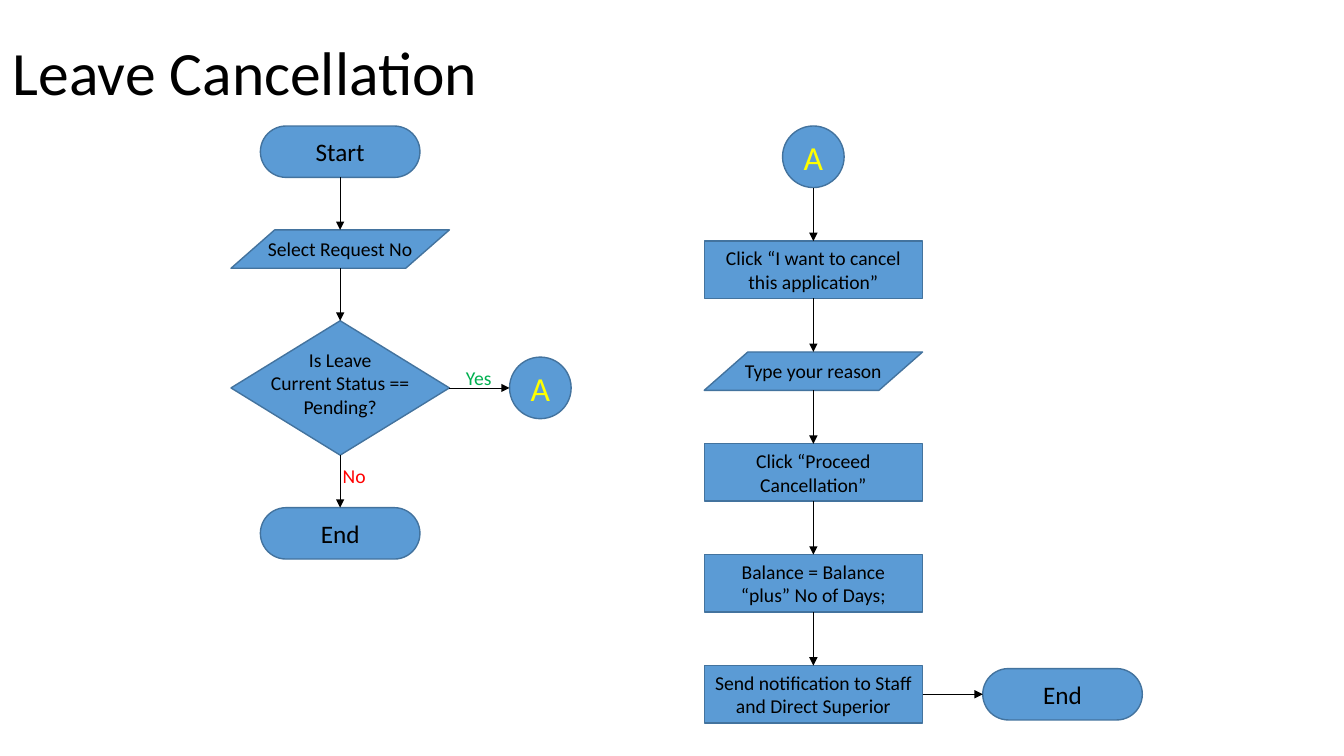
from lxml.etree import SubElement
from pptx import Presentation
from pptx.dml.color import RGBColor
from pptx.enum.shapes import MSO_CONNECTOR, MSO_SHAPE
from pptx.enum.text import MSO_ANCHOR, PP_ALIGN
from pptx.oxml.ns import qn
from pptx.util import Pt

COLORS = {"fill": "5B9BD5", "border": "43739E", "ink": "000000",
          "link": "FFFF00", "yes": "00B050", "no": "FF0000"}
FONT = "Calibri"

KINDS = {
    "terminal": (MSO_SHAPE.FLOWCHART_TERMINATOR, 114, 36.7, 18, "ink"),
    "input": (MSO_SHAPE.FLOWCHART_DATA, 156, 27.4, 14, "ink"),
    "decision": (MSO_SHAPE.FLOWCHART_DECISION, 156, 96, 14, "ink"),
    "process": (MSO_SHAPE.FLOWCHART_PROCESS, 156, 41, 14, "ink"),
    "link": (MSO_SHAPE.FLOWCHART_CONNECTOR, 44, 44, 24, "link"),
}
UNWRAPPED = ("input", "decision", "link")

REQUEST_FLOW = [
    ("terminal", ["Start"]),
    ("input", ["Select Request No"]),
    ("decision", ["Is Leave", "Current Status ==\vPending?"]),
    ("terminal", ["End"]),
]
CANCEL_FLOW = [
    ("link", ["A"]),
    ("process", ["Click “I want to cancel this application”"]),
    ("input", ["Type your reason"]),
    ("process", ["Click “Proceed Cancellation”"]),
    ("process", ["Balance = Balance “plus” No of Days;"]),
    ("process", ["Send notification to Staff and Direct Superior"]),
]
FLOW_TOP = 90
SIDE_GAP = 43

presentation = Presentation()
presentation.slide_width, presentation.slide_height = Pt(960), Pt(540)
slide = presentation.slides.add_slide(presentation.slide_layouts[5])


def color(name):
    return RGBColor.from_string(COLORS[name])


def write(frame, lines, size, ink, align=PP_ALIGN.CENTER):
    frame.vertical_anchor = MSO_ANCHOR.MIDDLE
    for i, line in enumerate(lines):
        paragraph = frame.paragraphs[0] if i == 0 else frame.add_paragraph()
        paragraph.alignment = align
        for j, part in enumerate(line.split("\v")):
            if j:
                paragraph.add_line_break()
            run = paragraph.add_run()
            run.text = part
            run.font.name, run.font.size = FONT, Pt(size)
            run.font.color.rgb = color(ink)


def add_step(kind, lines, center, top):
    preset, width, height, size, ink = KINDS[kind]
    step = slide.shapes.add_shape(preset, Pt(center - width / 2), Pt(top), Pt(width), Pt(height))
    step.shadow.inherit = False
    step.fill.solid()
    step.fill.fore_color.rgb = color("fill")
    step.line.color.rgb = color("border")
    step.line.width = Pt(1)
    frame = step.text_frame
    frame.word_wrap = kind not in UNWRAPPED
    side = 3 if lines[0].startswith("Send") else 11
    frame.margin_left = frame.margin_right = Pt(side if kind == "process" else 0)
    frame.margin_top = frame.margin_bottom = 0
    if kind == "decision":
        frame.margin_bottom = Pt(7)
    write(frame, lines, size, ink)
    return step


def add_arrow(start, end):
    arrow = slide.shapes.add_connector(MSO_CONNECTOR.STRAIGHT, *start, *end)
    arrow.line.color.rgb = color("ink")
    arrow.line.width = Pt(0.5)
    SubElement(arrow.line._get_or_add_ln(), qn("a:tailEnd"), type="triangle")
    SubElement(arrow._element.spPr, qn("a:effectLst"))


def add_flow(steps, center, gap):
    top, flow = FLOW_TOP, []
    for kind, lines in steps:
        step = add_step(kind, lines, center, top)
        if flow:
            above = flow[-1]
            add_arrow((Pt(center), above.top + above.height), (Pt(center), step.top))
        flow.append(step)
        top += KINDS[kind][2] + gap
    return flow


def add_branch(source, kind, lines):
    width, height = KINDS[kind][1:3]
    edge = source.left + source.width
    middle = source.top + source.height // 2
    target = add_step(kind, lines, edge.pt + SIDE_GAP + width / 2 if hasattr(edge, "pt")
                      else edge / Pt(1) + SIDE_GAP + width / 2, middle / Pt(1) - height / 2)
    add_arrow((edge, middle), (target.left, middle))


def add_answer(text, ink, center, top):
    answer = slide.shapes.add_textbox(Pt(center - 20), Pt(top), Pt(40), Pt(24))
    answer.text_frame.word_wrap = True
    answer.text_frame.margin_left = answer.text_frame.margin_right = 0
    write(answer.text_frame, [text], 14, ink)


title = slide.shapes.title
title.left, title.top, title.width, title.height = Pt(2), Pt(2), Pt(828), Pt(104)
write(title.text_frame, ["Leave Cancellation"], 44, "ink", PP_ALIGN.LEFT)
title.text_frame.paragraphs[0].line_spacing = 0.9

request = add_flow(REQUEST_FLOW, 243, 37.5)
cancel = add_flow(CANCEL_FLOW, 581, 38.2)
add_branch(request[2], "link", ["A"])
add_branch(cancel[-1], "terminal", ["End"])
add_answer("Yes", "yes", 342, 258)
add_answer("No", "no", 253, 328)

presentation.save("out.pptx")
